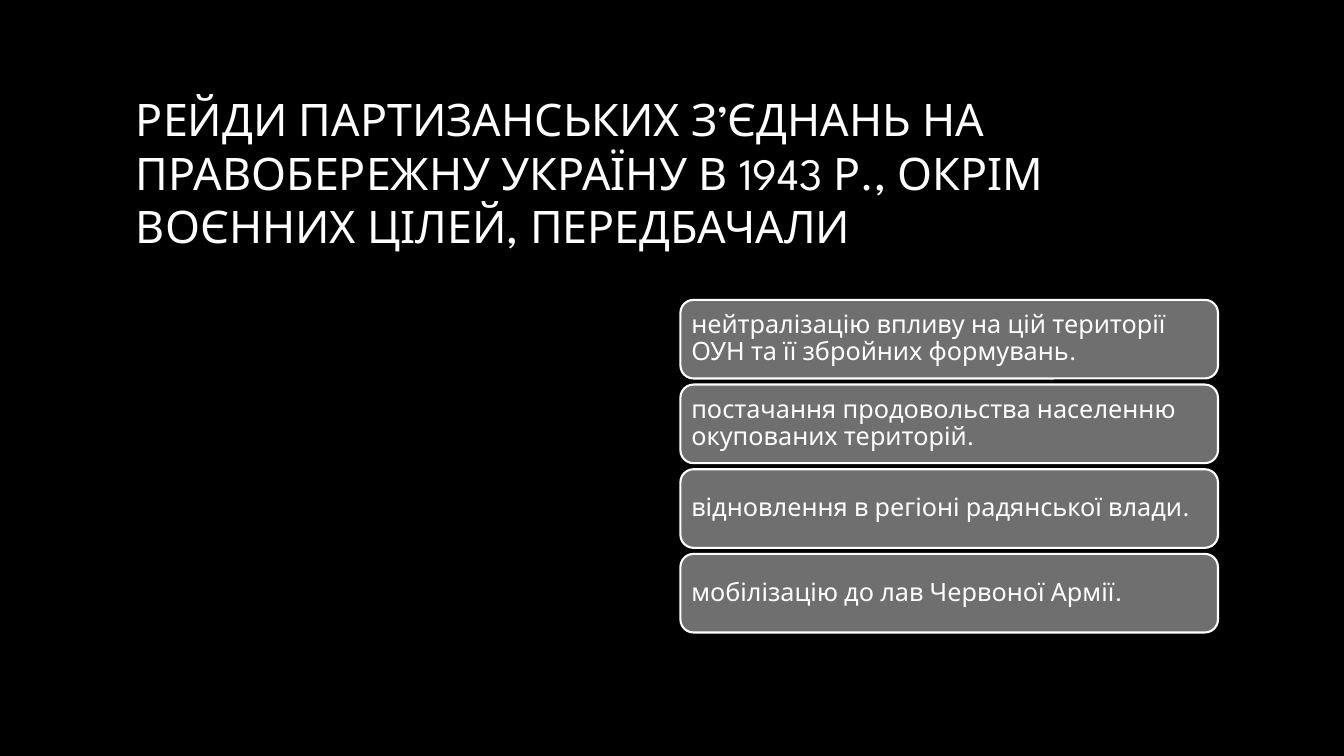
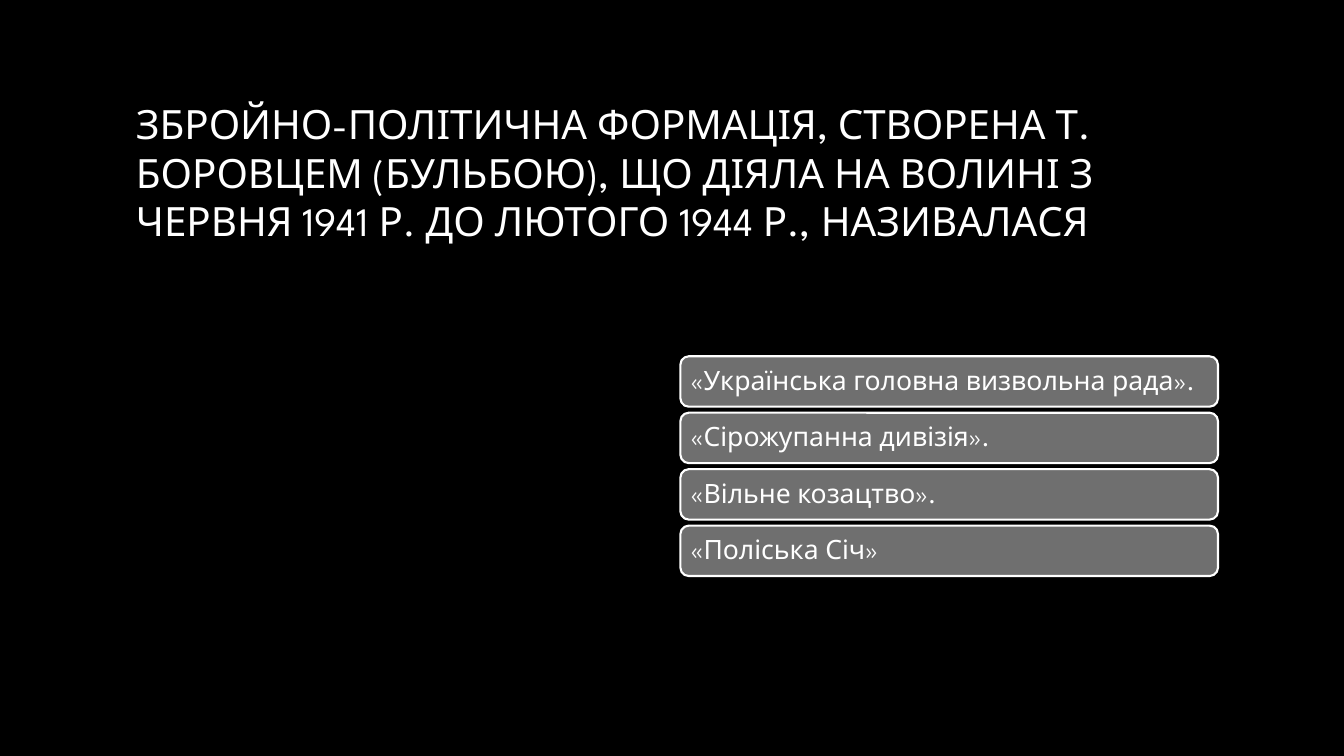
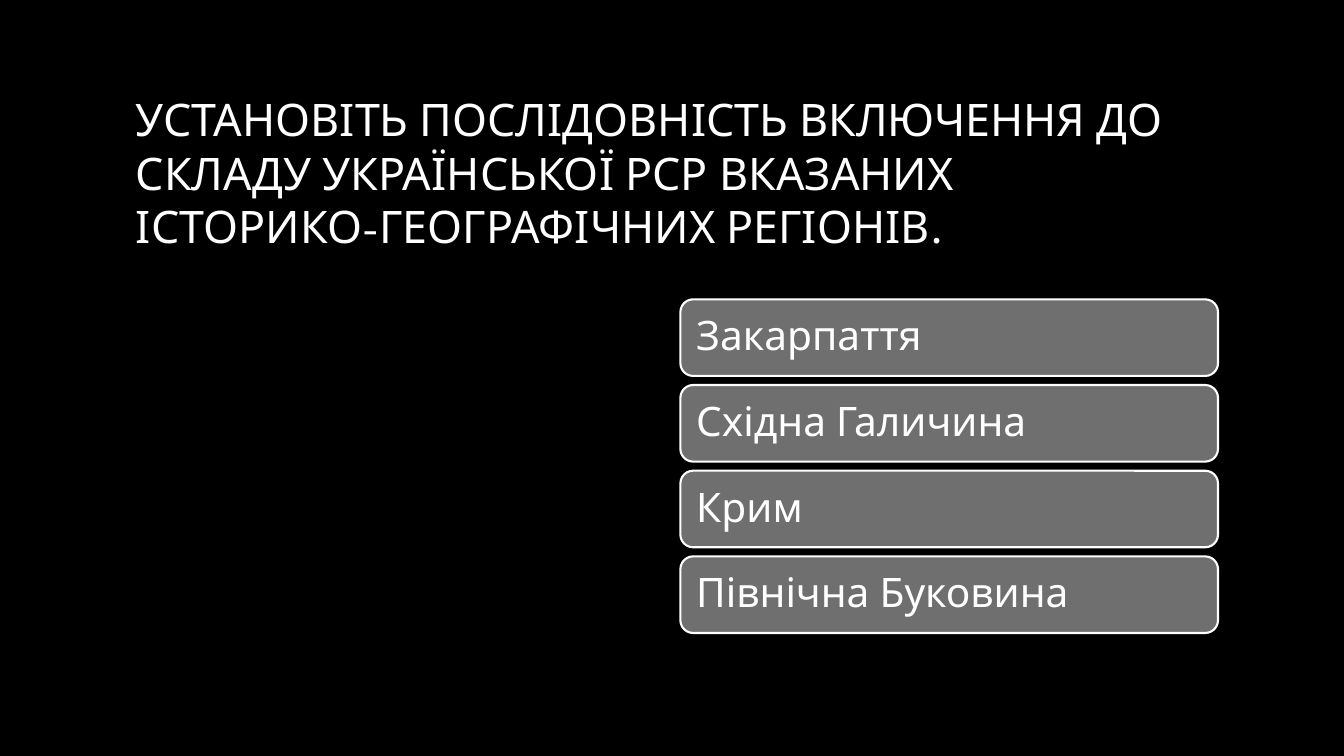
"""Build three quiz slides, each with a question and four answer bars."""

from dataclasses import dataclass

from pptx import Presentation
from pptx.dml.color import RGBColor
from pptx.enum.shapes import MSO_SHAPE as Preset
from pptx.enum.text import MSO_ANCHOR as Anchor, PP_ALIGN as Align
from pptx.slide import Slide
from pptx.util import Inches, Length, Pt

BLACK = RGBColor(0x00, 0x00, 0x00)
WHITE = RGBColor(0xFF, 0xFF, 0xFF)
SILVER = RGBColor(0xA6, 0xA6, 0xA6)
GREY = RGBColor(0x6F, 0x6F, 0x6F)
FONT = "League Spartan"

COLUMNS, ROWS = 160, 90
CELL = 1 / 12
TITLE_LEFT, TITLE_TOP, TITLE_WIDTH, TITLE_HEIGHT = 15, 8, 130, 25
ANSWER_LEFT, ANSWER_WIDTH, ANSWER_MIDDLE = 81, 64, 55.5


@dataclass(frozen=True)
class AnswerStyle:
    """Height, gap and inset of the answer bars in inches, and their text size."""

    height: float
    gap: float
    inset: float
    size: float


@dataclass(frozen=True)
class Question:
    """A question with its answers."""

    title: str
    title_size: float
    style: AnswerStyle
    answers: tuple[str, ...]


QUESTIONS = (
    Question(
        "РЕЙДИ ПАРТИЗАНСЬКИХ З’ЄДНАНЬ НА ПРАВОБЕРЕЖНУ УКРАЇНУ В 1943 Р., "
        "ОКРІМ ВОЄННИХ ЦІЛЕЙ, ПЕРЕДБАЧАЛИ",
        32,
        AnswerStyle(height=0.78, gap=0.06, inset=0.07, size=18),
        (
            "нейтралізацію впливу на цій території ОУН та її збройних формувань.",
            "постачання продовольства населенню окупованих територій.",
            "відновлення в регіоні радянської влади.",
            "мобілізацію до лав Червоної Армії.",
        ),
    ),
    Question(
        "ЗБРОЙНО-ПОЛІТИЧНА ФОРМАЦІЯ, СТВОРЕНА Т. БОРОВЦЕМ (БУЛЬБОЮ), "
        "ЩО ДІЯЛА НА ВОЛИНІ З ЧЕРВНЯ 1941 Р. ДО ЛЮТОГО 1944 Р., НАЗИВАЛАСЯ",
        28.8,
        AnswerStyle(height=0.5, gap=0.06, inset=0.08, size=19),
        (
            "«Українська головна визвольна рада».",
            "«Сірожупанна дивізія».",
            "«Вільне козацтво».",
            "«Поліська Січ»",
        ),
    ),
    Question(
        "УСТАНОВІТЬ ПОСЛІДОВНІСТЬ ВКЛЮЧЕННЯ ДО СКЛАДУ УКРАЇНСЬКОЇ РСР "
        "ВКАЗАНИХ ІСТОРИКО-ГЕОГРАФІЧНИХ РЕГІОНІВ.",
        32,
        AnswerStyle(height=0.76, gap=0.09, inset=0.12, size=29),
        ("Закарпаття", "Східна Галичина", "Крим", "Північна Буковина"),
    ),
)


def cells(count: float) -> Length:
    """Return the length of a number of grid cells."""
    return Inches(count * CELL)


def write(box, text: str, *, size: float, spacing: float = 1.0,
          inset: float | None = None, gradient: bool = False) -> None:
    """Write one left-aligned, vertically centred paragraph into a box."""
    frame = box.text_frame
    frame.word_wrap = True
    frame.vertical_anchor = Anchor.MIDDLE
    if inset is not None:
        frame.margin_left = frame.margin_right = Inches(inset)
        frame.margin_top = frame.margin_bottom = Inches(inset)
    para = frame.paragraphs[0]
    para.alignment = Align.LEFT
    para.line_spacing = spacing
    span = para.add_run()
    span.text = text
    span.font.name = FONT
    span.font.size = Pt(size)
    if gradient:
        fill = span.font.fill
        fill.gradient()
        fill.gradient_angle = 267
        for stop, color in zip(fill.gradient_stops, (WHITE, SILVER)):
            stop.color.rgb = color
    else:
        span.font.color.rgb = WHITE


def add_title(page: Slide, question: Question) -> None:
    """Add the question across the top of the page."""
    box = page.shapes.add_textbox(cells(TITLE_LEFT), cells(TITLE_TOP),
                                  cells(TITLE_WIDTH), cells(TITLE_HEIGHT))
    write(box, question.title, size=question.title_size, gradient=True)


def add_answers(page: Slide, question: Question) -> None:
    """Stack the answer bars evenly around their common middle."""
    style = question.style
    pitch = style.height + style.gap
    total = len(question.answers) * pitch - style.gap
    top = ANSWER_MIDDLE * CELL - total / 2
    for index, answer in enumerate(question.answers):
        bar = page.shapes.add_shape(
            Preset.ROUNDED_RECTANGLE, cells(ANSWER_LEFT),
            Inches(top + index * pitch), cells(ANSWER_WIDTH), Inches(style.height))
        bar.shadow.inherit = False
        bar.fill.solid()
        bar.fill.fore_color.rgb = GREY
        bar.line.color.rgb = WHITE
        bar.line.width = Pt(1.5)
        write(bar, answer, size=style.size, spacing=0.9, inset=style.inset)


def main() -> None:
    """Build and save the deck."""
    deck = Presentation()
    deck.slide_width, deck.slide_height = cells(COLUMNS), cells(ROWS)
    backdrop = deck.slide_master.background.fill
    backdrop.solid()
    backdrop.fore_color.rgb = BLACK
    for question in QUESTIONS:
        page = deck.slides.add_slide(deck.slide_layouts[6])
        add_title(page, question)
        add_answers(page, question)
    deck.save("out.pptx")


if __name__ == "__main__":
    main()
